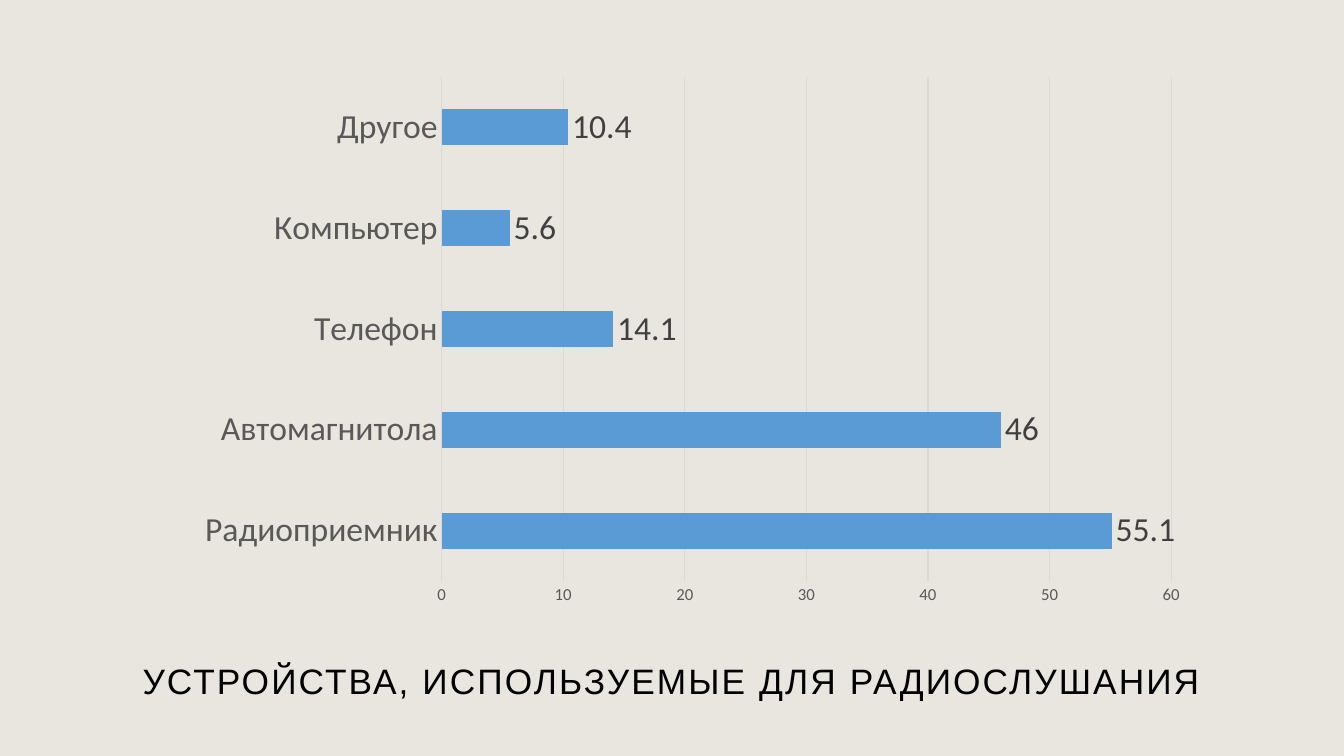
from lxml import etree
from pptx import Presentation
from pptx.chart.data import CategoryChartData
from pptx.dml.color import RGBColor
from pptx.enum import chart as charts, text
from pptx.oxml import ns
from pptx.util import Pt

BACKGROUND = RGBColor(0xE9, 0xE6, 0xDF)
BAR_BLUE = RGBColor(0x5B, 0x9B, 0xD5)
GRID_GRAY = RGBColor(0xD9, 0xD9, 0xD9)
AXIS_GRAY = RGBColor(0x59, 0x59, 0x59)
LABEL_GRAY = RGBColor(0x40, 0x40, 0x40)
BLACK = RGBColor(0, 0, 0)

DEVICES = {
    "Радиоприемник": 55.1,
    "Автомагнитола": 46,
    "Телефон": 14.1,
    "Компьютер": 5.6,
    "Другое": 10.4,
}


def style_font(font, name, size, color):
    font.name = name
    font.size = Pt(size)
    font.bold = False
    font.color.rgb = color


def style_line(line, color):
    line.color.rgb = color
    line.width = Pt(0.75)


def set_plot_layout(chart, x, y, width, height):
    """Fix the inner plot area as fractions of the chart."""
    plot_area = chart.plots[0]._element.getparent()
    for old_layout in plot_area.findall(ns.qn("c:layout")):
        plot_area.remove(old_layout)
    layout = etree.Element(ns.qn("c:layout"))
    manual = etree.SubElement(layout, ns.qn("c:manualLayout"))
    settings = {"layoutTarget": "inner", "xMode": "edge", "yMode": "edge",
                "x": x, "y": y, "w": width, "h": height}
    for tag, value in settings.items():
        etree.SubElement(manual, ns.qn(f"c:{tag}")).set("val", str(value))
    plot_area.insert(0, layout)


def add_device_chart(slide, left, top, width, height):
    data = CategoryChartData()
    data.categories = list(DEVICES)
    data.add_series("Устройства", list(DEVICES.values()))
    chart = slide.shapes.add_chart(
        charts.XL_CHART_TYPE.BAR_CLUSTERED,
        Pt(left), Pt(top), Pt(width), Pt(height), data).chart
    chart.has_title = False
    chart.has_legend = False
    style_font(chart.font, "Calibri", 10, BLACK)
    set_plot_layout(chart, 0.28, 0.02, 0.7, 0.91)

    # Axes
    for axis, size in ((chart.category_axis, 24), (chart.value_axis, 12)):
        axis.major_tick_mark = charts.XL_TICK_MARK.NONE
        axis.minor_tick_mark = charts.XL_TICK_MARK.NONE
        style_font(axis.tick_labels.font, "Calibri", size, AXIS_GRAY)
    style_line(chart.category_axis.format.line, GRID_GRAY)
    value_axis = chart.value_axis
    value_axis.minimum_scale, value_axis.maximum_scale = 0, 60
    value_axis.major_unit = 10
    value_axis.format.line.fill.background()
    style_line(value_axis.major_gridlines.format.line, GRID_GRAY)

    # Bars and their values
    plot = chart.plots[0]
    plot.gap_width = 182
    plot.vary_by_categories = False
    series = plot.series[0]
    series.format.fill.solid()
    series.format.fill.fore_color.rgb = BAR_BLUE
    labels = series.data_labels
    labels.show_value = True
    labels.position = charts.XL_LABEL_POSITION.OUTSIDE_END
    style_font(labels.font, "Calibri", 24, LABEL_GRAY)


def add_caption(slide, left, top, width, height):
    box = slide.shapes.add_textbox(Pt(left), Pt(top), Pt(width), Pt(height))
    frame = box.text_frame
    frame.word_wrap = True
    frame.vertical_anchor = text.MSO_ANCHOR.MIDDLE
    frame.text = "УСТРОЙСТВА, ИСПОЛЬЗУЕМЫЕ ДЛЯ РАДИОСЛУШАНИЯ"
    paragraph = frame.paragraphs[0]
    paragraph.alignment = text.PP_ALIGN.CENTER
    paragraph.line_spacing = 0.9
    run = paragraph.runs[0]
    style_font(run.font, "Arial", 25.2, BLACK)
    run.font._element.set("spc", "150")  # letter spacing of 1.5 pt


def main():
    presentation = Presentation()
    presentation.slide_width, presentation.slide_height = Pt(960), Pt(540)
    slide = presentation.slides.add_slide(presentation.slide_layouts[6])
    slide.background.fill.solid()
    slide.background.fill.fore_color.rgb = BACKGROUND
    add_device_chart(slide, 107, 47, 744.5, 396)
    add_caption(slide, 85.5, 465, 788.5, 46)
    presentation.save("out.pptx")


if __name__ == "__main__":
    main()
